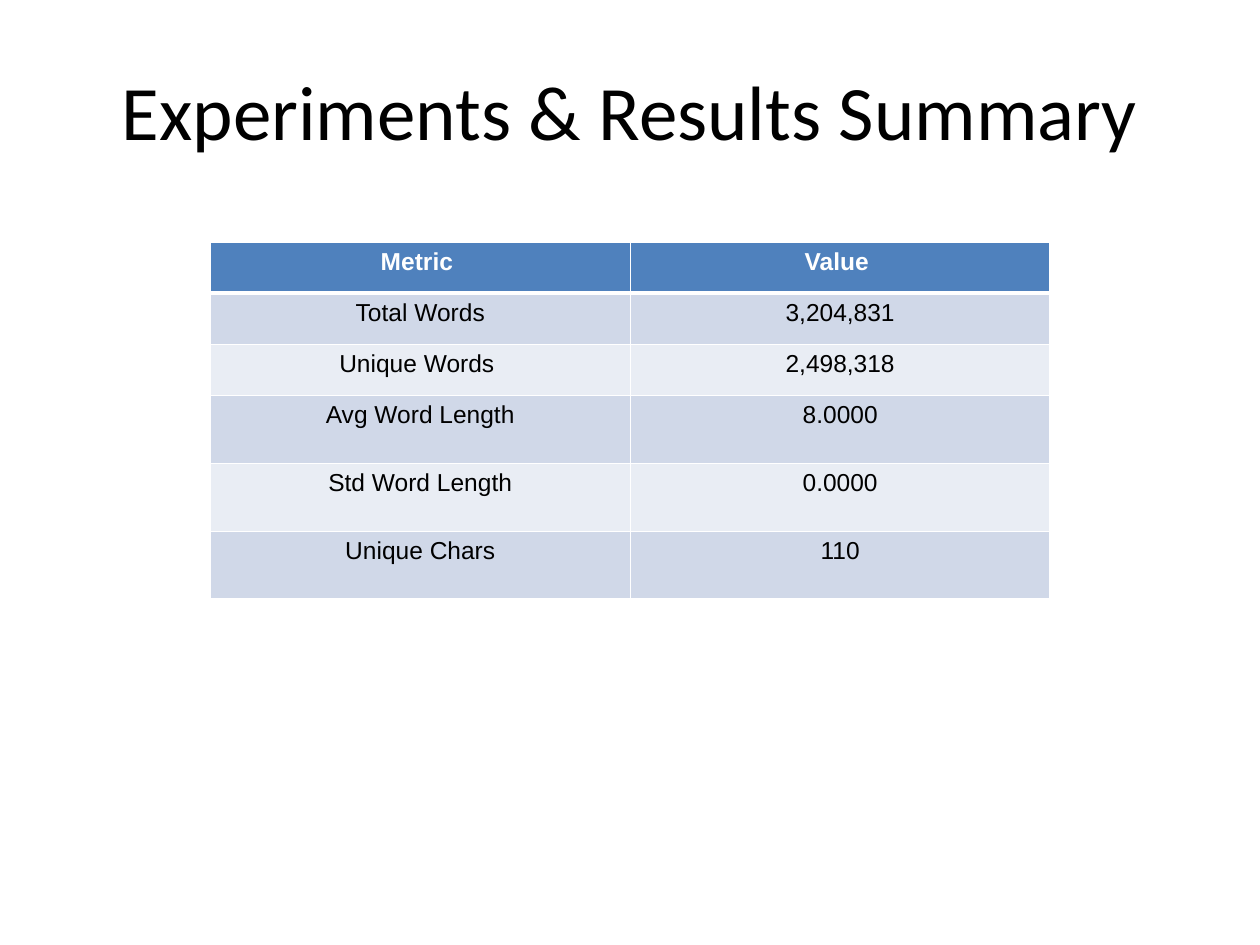
import pptx
import pptx.dml.color
import pptx.enum.text
import pptx.oxml
import pptx.oxml.ns
import pptx.util

Cm = pptx.util.Cm
Pt = pptx.util.Pt
ANCHOR = pptx.enum.text.MSO_ANCHOR

COLORS = {
    "text": "000000",
    "header": "4F81BD",
    "header_text": "FFFFFF",
    "band_dark": "D0D8E8",
    "band_light": "E9EDF4",
    "border": "FFFFFF",
}

METRICS = [
    ("Metric ", "Value "),
    ("Total Words", "3,204,831"),
    ("Unique Words ", "2,498,318"),
    ("Avg Word Length", " 8.0000 "),
    ("Std Word Length", "0.0000"),
    ("Unique Chars", "110"),
]
ROW_HEIGHTS = [1.03] * 3 + [1.37] * 3


def rgb(name):
    return pptx.dml.color.RGBColor.from_string(COLORS[name])


def write_text(tf, text, size=14, font="Arial", color="text", bold=False):
    p = tf.paragraphs[0]
    p.alignment = pptx.enum.text.PP_ALIGN.CENTER
    r = p.add_run()
    r.text = text
    r.font.size = Pt(size)
    r.font.name = font
    r.font.bold = bold
    r.font.color.rgb = rgb(color)


def add_title(s, text):
    sp = s.shapes.add_textbox(Cm(1.27), Cm(0.76), Cm(22.86), Cm(2.92))
    tf = sp.text_frame
    tf.word_wrap = True
    tf.vertical_anchor = ANCHOR.MIDDLE
    write_text(tf, text, size=44, font="Calibri")


def set_borders(cell, **widths):
    tc_pr = cell._tc.get_or_add_tcPr()
    for i, (side, width) in enumerate(widths.items()):
        ln = pptx.oxml.parse_xml(
            f'<a:{side} {pptx.oxml.ns.nsdecls("a")} w="{Pt(width)}">'
            f'<a:solidFill><a:srgbClr val="{COLORS["border"]}"/></a:solidFill>'
            f'</a:{side}>'
        )
        tc_pr.insert(i, ln)


def add_metrics_table(s, rows):
    frame = s.shapes.add_table(
        len(rows), 2, Cm(4.24), Cm(4.88), Cm(16.93), Cm(sum(ROW_HEIGHTS))
    )
    table = frame.table
    for i, values in enumerate(rows):
        table.rows[i].height = Cm(ROW_HEIGHTS[i])
        is_header = i == 0
        band = "band_dark" if i % 2 else "band_light"
        for j, text in enumerate(values):
            cell = table.cell(i, j)
            cell.vertical_anchor = ANCHOR.TOP
            cell.fill.solid()
            cell.fill.fore_color.rgb = rgb("header" if is_header else band)
            set_borders(cell, lnL=1, lnR=1, lnT=3 if i == 1 else 1,
                        lnB=3 if is_header else 1)
            write_text(cell.text_frame, text, bold=is_header,
                       color="header_text" if is_header else "text")


def main():
    prs = pptx.Presentation()
    prs.slide_width = Cm(25.4)
    prs.slide_height = Cm(19.05)
    s = prs.slides.add_slide(prs.slide_layouts[6])
    add_title(s, "Experiments & Results Summary")
    add_metrics_table(s, METRICS)
    prs.save("out.pptx")


if __name__ == "__main__":
    main()
